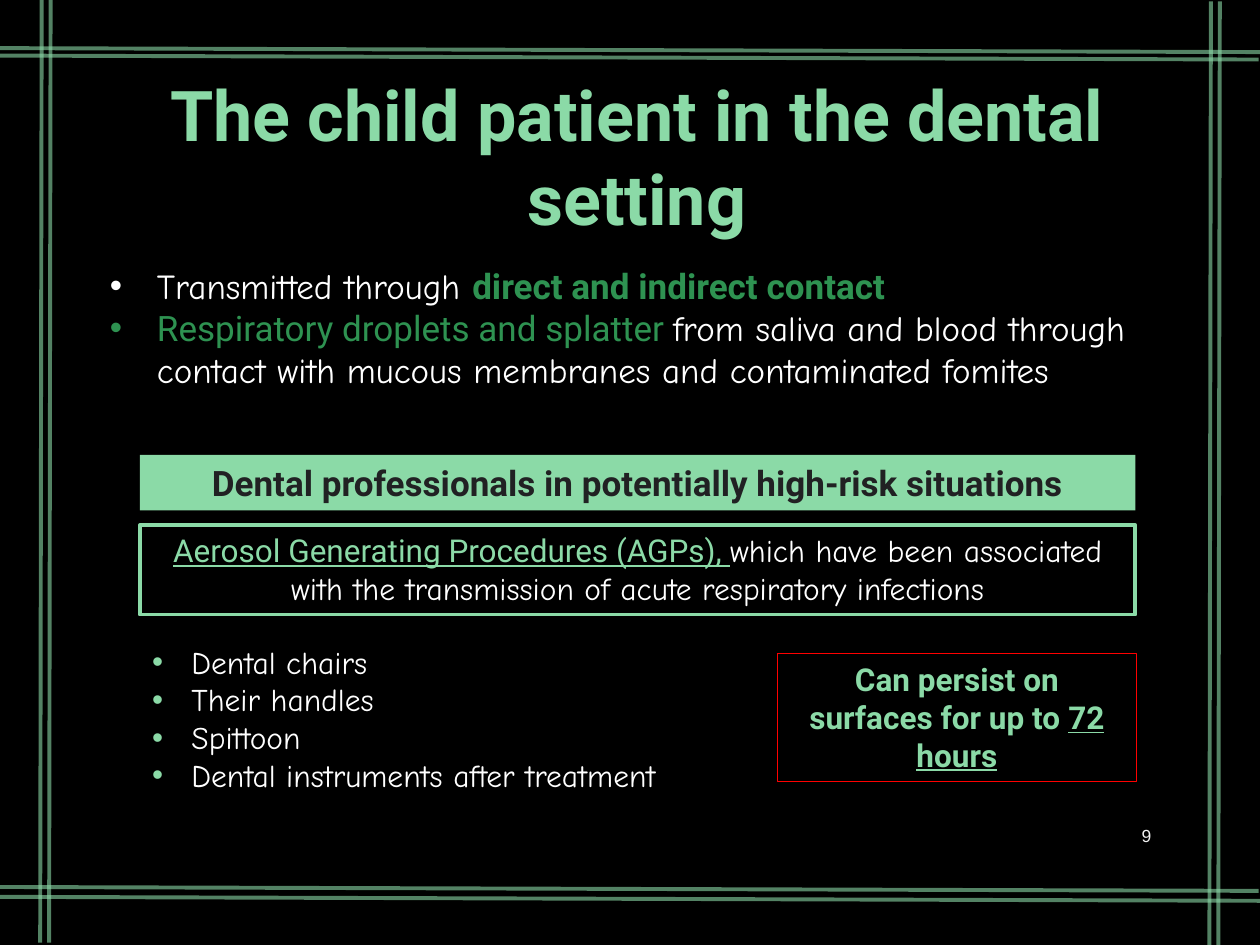
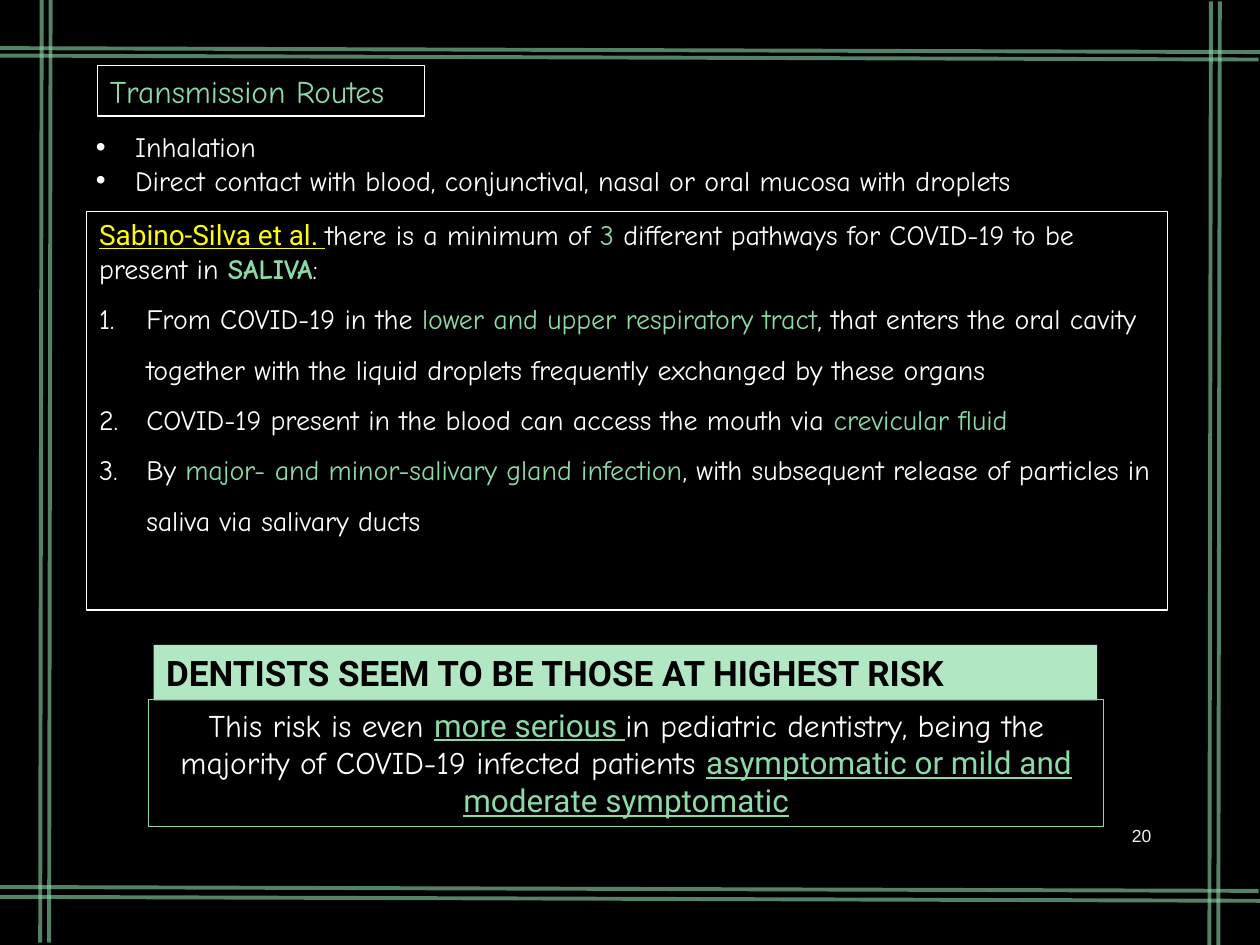
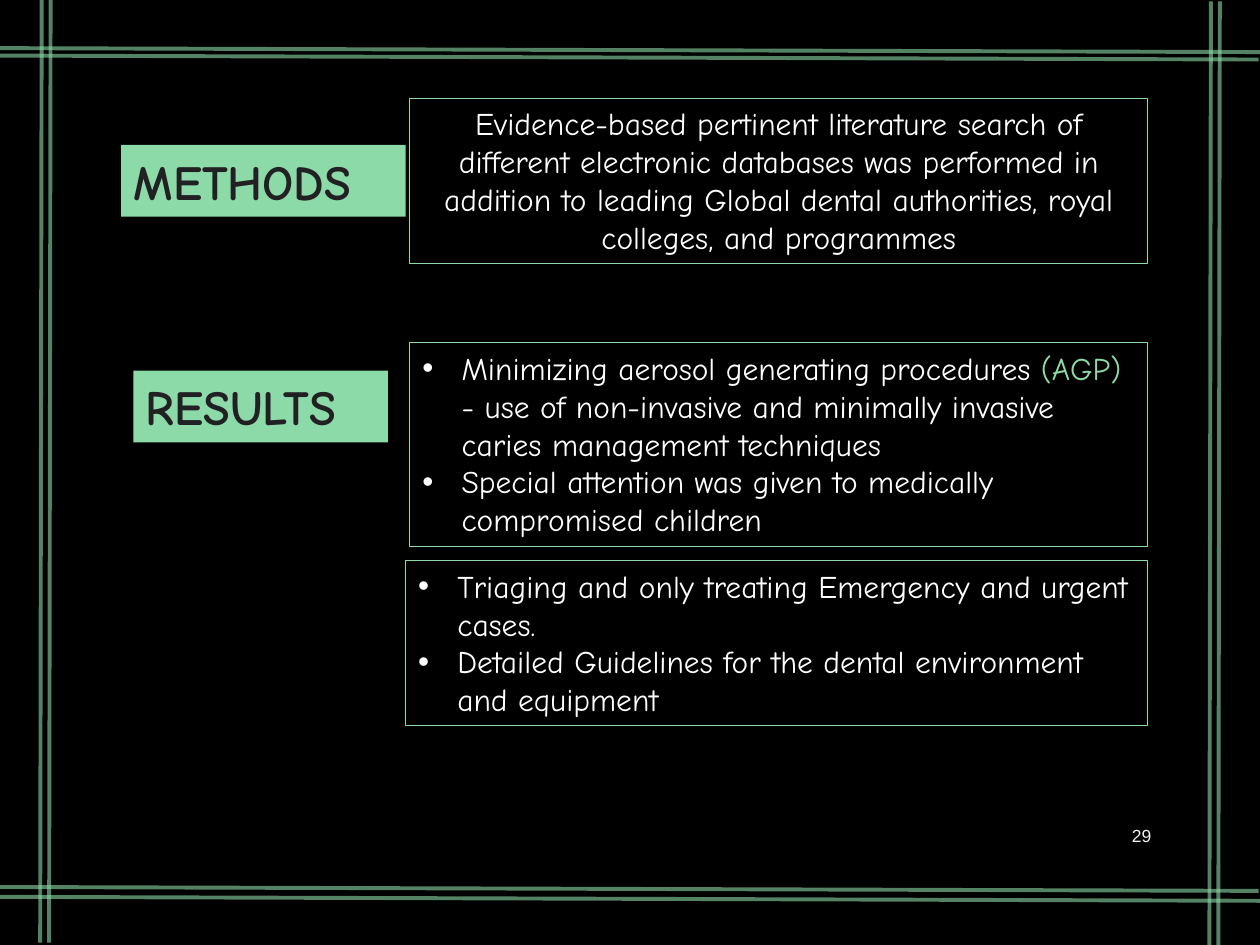
from dataclasses import dataclass

from lxml.etree import SubElement as Sub
from pptx import Presentation
from pptx.dml.color import RGBColor
from pptx.enum.shapes import MSO_CONNECTOR as Link, MSO_SHAPE as Shape
from pptx.enum.text import MSO_ANCHOR as Anchor, MSO_AUTO_SIZE as Fit, PP_ALIGN as Align
from pptx.oxml.ns import qn
from pptx.util import Cm, Pt

MINT, PALE, GREEN = "8BDAA7", "B2E7C4", "2E9251"
WHITE, BLACK, INK = "FFFFFF", "000000", "212123"
RED, YELLOW, SMOKE = "FF0000", "FFFF00", "F2F2F2"
COMIC, ROBOTO = "Comic Neue", "Roboto"

STYLES = {
    "plain": (COMIC, WHITE, False, False),
    "mint": (COMIC, MINT, False, False),
    "strong": (COMIC, MINT, True, False),
    "tag": (COMIC, INK, True, False),
    "title": (ROBOTO, MINT, True, False),
    "band": (ROBOTO, INK, True, False),
    "alert": (ROBOTO, BLACK, True, False),
    "deep": (ROBOTO, GREEN, False, False),
    "deep bold": (ROBOTO, GREEN, True, False),
    "key": (ROBOTO, MINT, False, True),
    "key bold": (ROBOTO, MINT, True, True),
    "cite": (ROBOTO, YELLOW, False, True),
    "page": ("Arial", SMOKE, False, False),
}


@dataclass
class Box:
    """A rectangle in centimetres."""
    x: float
    y: float
    w: float
    h: float

    def inner(self, x, y, w, h):
        """Return a box measured from this one's corner."""
        return Box(self.x + x, self.y + y, w, h)

    def place(self):
        """Return left, top, width and height as lengths."""
        return Cm(self.x), Cm(self.y), Cm(self.w), Cm(self.h)


@dataclass
class Para:
    """A paragraph of styled runs; plain strings take the base style."""
    runs: list
    mark: str = ""
    tint: str = ""
    indent: float = 0.79
    gap: float = 1.0


def rgb(code):
    """Turn a hex string into a colour."""
    return RGBColor.from_string(code)


def set_font(font, style):
    """Apply a named style to a font."""
    face, color, bold, under = STYLES[style]
    font.name, font.bold, font.underline = face, bold, under
    font.color.rgb = rgb(color)


def add_mark(par, item, tint):
    """Give a paragraph a coloured bullet or number."""
    props = par._p.get_or_add_pPr()
    props.set("marL", str(Cm(item.indent)))
    props.set("indent", str(-Cm(item.indent)))
    Sub(Sub(props, qn("a:buClr")), qn("a:srgbClr"), val=tint)
    Sub(props, qn("a:buFont"), typeface="Arial")
    if item.mark == "1.":
        Sub(props, qn("a:buAutoNum"), type="arabicPeriod")
    else:
        Sub(props, qn("a:buChar"), char=item.mark)


def write(shape, paras, size, base="plain", align=Align.LEFT, anchor=Anchor.TOP):
    """Fill a shape with paragraphs."""
    frame = shape.text_frame
    frame.word_wrap, frame.auto_size = True, Fit.NONE
    frame.vertical_anchor = anchor
    for i, item in enumerate(paras):
        par = frame.add_paragraph() if i else frame.paragraphs[0]
        runs = [(r, base) if isinstance(r, str) else r for r in item.runs]
        if item.mark:
            add_mark(par, item, item.tint or STYLES[runs[0][1]][1])
        par.alignment, par.line_spacing = align, item.gap
        par.space_before = Pt(0)
        par.font.size = Pt(size)
        set_font(par.font, base)
        for text, style in runs:
            run = par.add_run()
            run.text = text
            if style != base:
                set_font(run.font, style)


def paint(shape, fill=None, edge=None, width=0.75):
    """Set a shape's fill and outline."""
    if fill:
        shape.fill.solid()
        shape.fill.fore_color.rgb = rgb(fill)
    else:
        shape.fill.background()
    if edge:
        shape.line.color.rgb, shape.line.width = rgb(edge), Pt(width)
    else:
        shape.line.fill.background()


def move(shape, box):
    """Move a placeholder into a box."""
    shape.left, shape.top, shape.width, shape.height = box.place()
    return shape


def panel(slide, box, fill=None, edge=None, width=0.75):
    """Add a flat rectangle."""
    shape = slide.shapes.add_shape(Shape.RECTANGLE, *box.place())
    shape.shadow.inherit = False
    paint(shape, fill, edge, width)
    return shape


def rule(slide, x, y, dx, dy):
    """Draw one translucent frame line."""
    line = slide.shapes.add_connector(Link.STRAIGHT, Cm(x), Cm(y), Cm(x + dx), Cm(y + dy))
    line.line.color.rgb, line.line.width = rgb(MINT), Pt(2.25)
    props = line._element.spPr
    Sub(props.find(".//" + qn("a:srgbClr")), qn("a:alpha"), val="60000")
    Sub(props, qn("a:effectLst"))


def border(slide, box):
    """Draw the crossed double lines round the slide."""
    for x, y in ((0.84, -0.05), (1.02, -0.05), (24.41, 0.03), (24.59, 0.03)):
        rule(slide, box.x + x, box.y + y, -0.03, box.h)
    for x, y in ((0, 0.97), (-0.03, 1.12), (0, 18.08), (-0.03, 17.88)):
        rule(slide, box.x + x, box.y + y, box.w, 0.08)


def start(deck, full, area, number):
    """Add a slide with its frame and page number."""
    slide = deck.slides.add_slide(deck.slide_layouts[1])
    border(slide, full)
    note = slide.shapes.add_textbox(*area.inner(20.19, 15.01, 1.57, 1.02).place())
    write(note, [Para([str(number)])], 10, "page", Align.RIGHT, Anchor.MIDDLE)
    return slide, slide.shapes.title, slide.placeholders[1]


def setting(slide, head, body, box):
    """Build the dental setting slide."""
    write(move(head, box.inner(0.23, 0, 21.82, 2.46)),
          [Para(["The child patient in the dental setting"])], 40, "title", Align.CENTER)
    write(move(body, box.inner(0.26, 3.89, 21.82, 3.68)), [
        Para(["Transmitted through ", ("direct and indirect contact", "deep bold")], "•", indent=0.95),
        Para([("Respiratory droplets and splatter ", "deep"),
              "from saliva and blood through contact with mucous membranes "
              "and contaminated fomites"], "•", indent=0.95)], 20)
    write(panel(slide, box.inner(1.12, 7.85, 20.07, 1.12), MINT),
          [Para(["Dental professionals in potentially high-risk situations"])],
          20, "band", Align.CENTER)
    write(panel(slide, box.inner(1.12, 9.27, 20.07, 1.8), None, MINT, 2.25),
          [Para([("Aerosol Generating Procedures (AGPs), ", "key"),
                 "which have been associated with the transmission of acute "
                 "respiratory infections"])], 18, align=Align.CENTER)
    items = ("Dental chairs", "Their handles", "Spittoon", "Dental instruments after treatment")
    places = slide.shapes.add_textbox(*box.inner(1.12, 11.51, 12.7, 3.33).place())
    write(places, [Para([item], "•", MINT) for item in items], 18)
    write(panel(slide, box.inner(13.97, 11.86, 7.24, 2.57), None, RED),
          [Para(["Can persist on surfaces for up to ", ("72 hours", "key bold")])],
          18, "title", Align.CENTER)


def routes(slide, head, body, box):
    """Build the transmission routes slide."""
    write(move(head, box.inner(0.26, 0, 6.6, 1.02)), [Para(["Transmission Routes"])], 18, "mint")
    paint(head, None, WHITE)
    items = ("Inhalation",
             "Direct contact with blood, conjunctival, nasal or oral mucosa with droplets")
    write(move(body, box.inner(-0.02, 1.17, 21.31, 1.63)), [Para([item], "•") for item in items], 16)
    routes_in = (
        ["From COVID-19 in the ", ("lower and upper respiratory tract", "mint"),
         ", that enters the oral cavity together with the liquid droplets "
         "frequently exchanged by these organs"],
        ["COVID-19 present in the blood can access the mouth via ", ("crevicular fluid", "mint")],
        ["By ", ("major- and minor-salivary gland infection", "mint"),
         ", with subsequent release of particles in saliva via salivary ducts"])
    lead = Para([("Sabino-Silva et al. ", "cite"), "there is a minimum of ", ("3", "mint"),
                 " different pathways for COVID-19 to be present in ", ("SALIVA", "strong"), ":"])
    write(panel(slide, box.inner(0.05, 2.95, 21.79, 8.03), None, WHITE),
          [lead] + [Para(runs, "1.", indent=0.95, gap=1.5) for runs in routes_in], 16)
    write(panel(slide, box.inner(1.4, 11.68, 19.02, 1.12), PALE),
          [Para(["DENTISTS SEEM TO BE THOSE AT HIGHEST RISK"])], 20, "alert")
    write(panel(slide, box.inner(1.3, 12.78, 19.25, 2.57), None, MINT),
          [Para(["This risk is even ", ("more serious ", "key"),
                 "in pediatric dentistry, being the majority of COVID-19 infected patients ",
                 ("asymptomatic or mild and moderate symptomatic", "key")])],
          18, align=Align.CENTER)


def findings(slide, head, body, box):
    """Build the methods and results slide."""
    write(move(head, box.inner(0.74, 1.6, 5.74, 1.45)), [Para(["METHODS"])], 28, "tag")
    paint(head, MINT)
    write(panel(slide, box.inner(6.56, 0.66, 14.88, 3.33), None, MINT),
          [Para(["Evidence-based pertinent literature search of different electronic "
                 "databases was performed in addition to leading Global dental "
                 "authorities, royal colleges, and programmes"])], 18, align=Align.CENTER)
    write(panel(slide, box.inner(0.99, 6.15, 5.13, 1.45), MINT), [Para(["RESULTS"])], 28, "tag")
    write(move(body, box.inner(6.56, 5.59, 14.88, 4.11)), [
        Para(["Minimizing aerosol generating procedures ", ("(AGP) ", "mint"),
              "- use of non-invasive and minimally invasive caries management techniques"], "•"),
        Para(["Special attention was given to medically compromised children"], "•")], 18)
    paint(body, None, MINT)
    items = ("Triaging and only treating Emergency and urgent cases.",
             "Detailed Guidelines for the dental environment and equipment")
    write(panel(slide, box.inner(6.48, 9.98, 14.96, 3.33), None, MINT),
          [Para([item], "•") for item in items], 18)


def main():
    """Build and save the deck."""
    deck = Presentation()
    full, area = Box(0, 0, 25.4, 19.05), Box(1.7, 1.32, 22, 16.03)
    deck.slide_width, deck.slide_height = Cm(full.w), Cm(full.h)
    back = deck.slide_master.background.fill
    back.solid()
    back.fore_color.rgb = rgb(BLACK)
    for build, number in ((setting, 9), (routes, 20), (findings, 29)):
        build(*start(deck, full, area, number), area)
    deck.save("out.pptx")


if __name__ == "__main__":
    main()
